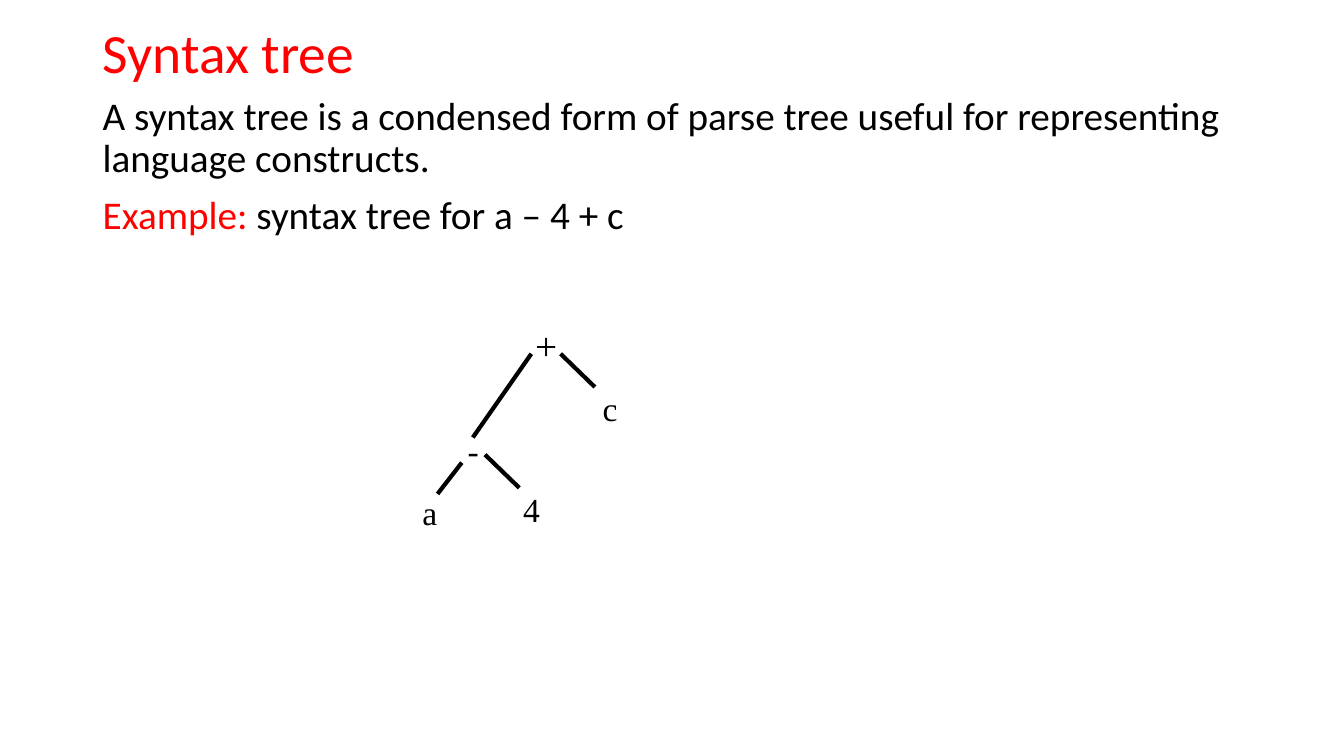
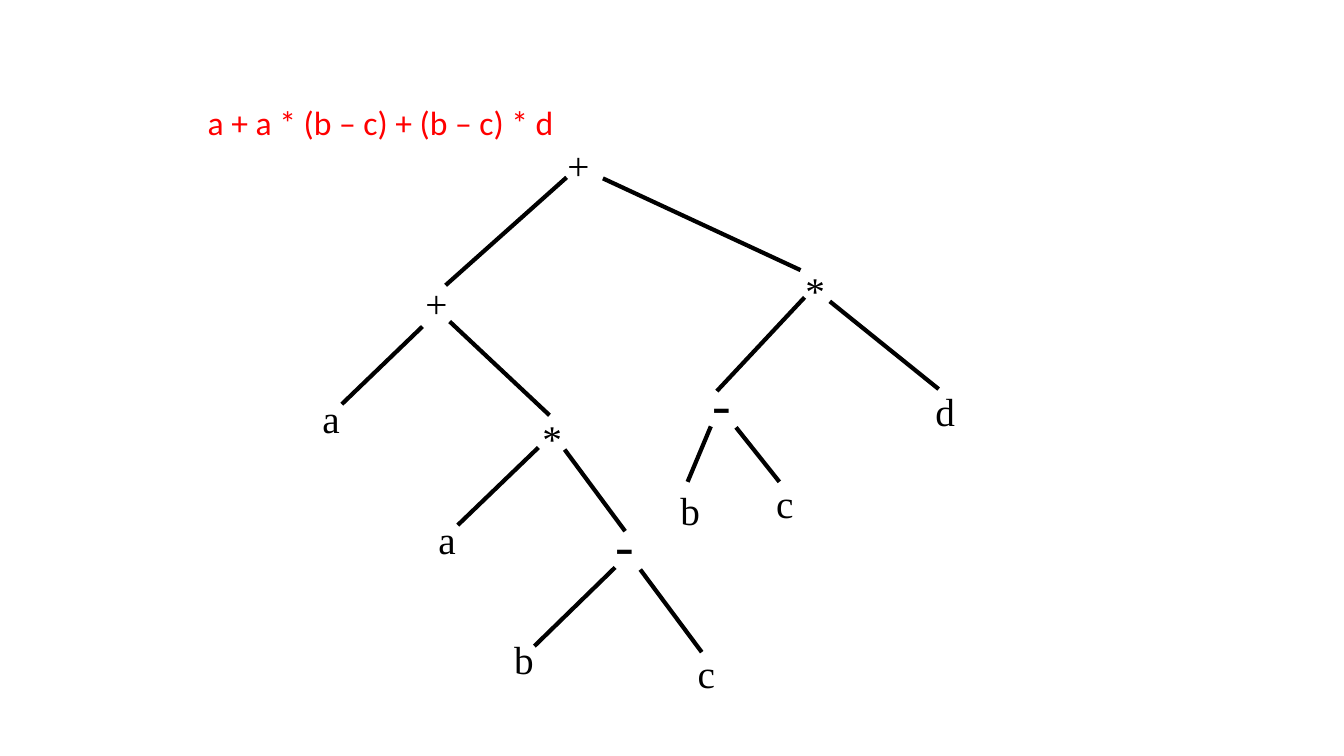
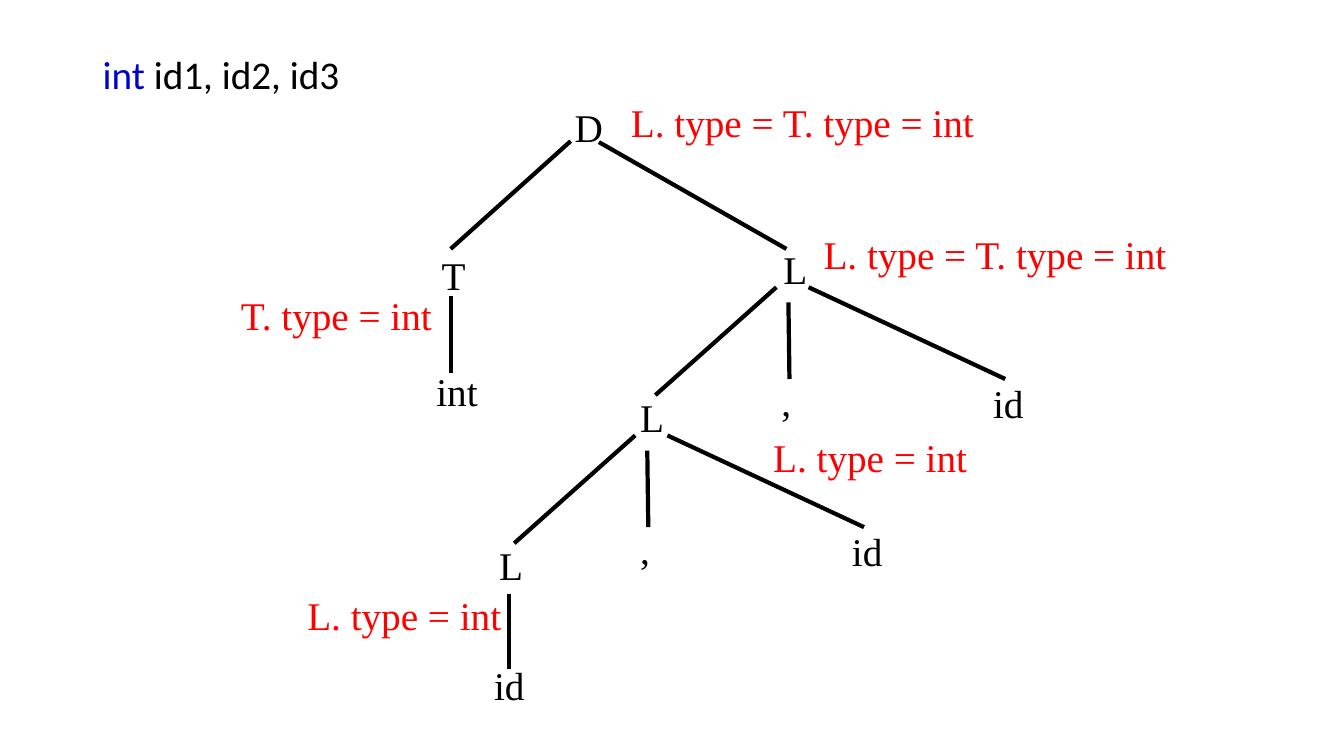
from dataclasses import dataclass
from typing import Iterable, NamedTuple

import pptx
import pptx.dml.color
import pptx.enum.shapes
import pptx.enum.text
import pptx.oxml
import pptx.util
from pptx.util import Inches

BLACK = pptx.dml.color.RGBColor(0x00, 0x00, 0x00)
RED = pptx.dml.color.RGBColor(0xFF, 0x00, 0x00)
BLUE = pptx.dml.color.RGBColor(0x00, 0x00, 0xCC)
TEXT_FONT = "Calibri"
TREE_FONT = "Times New Roman"
MARGIN, CONTENT_WIDTH = 0.92, 11.5
INSET = 0.1


class Run(NamedTuple):
    text: str
    color: pptx.dml.color.RGBColor = BLACK


class Edge(NamedTuple):
    x1: float
    y1: float
    x2: float
    y2: float


@dataclass
class Node:
    text: str
    x: float
    y: float
    width: float = 0.42
    size: float = 28
    color: pptx.dml.color.RGBColor = BLACK
    inset: float = INSET


def add_text(s, x: float, y: float, width: float, height: float,
             paragraphs: list[list[Run]], size: float, font: str = TEXT_FONT,
             line_spacing: float = 1.0, inset: float = INSET):
    sp = s.shapes.add_textbox(Inches(x), Inches(y), Inches(width), Inches(height))
    tf = sp.text_frame
    tf.word_wrap = True
    tf.margin_left = Inches(inset)
    for i, runs in enumerate(paragraphs):
        p = tf.paragraphs[0] if i == 0 else tf.add_paragraph()
        p.line_spacing = line_spacing
        if i:
            p.space_before = pptx.util.Pt(10)
        for run in runs:
            r = p.add_run()
            r.text = run.text
            r.font.name = font
            r.font.size = pptx.util.Pt(size)
            r.font.color.rgb = run.color
    return sp


def add_body(s, y: float, height: float, paragraphs: list[list[Run]]) -> None:
    add_text(s, MARGIN, y, CONTENT_WIDTH, height, paragraphs, 28, line_spacing=0.9)


def line_height(size: float) -> float:
    """Height in inches of a one-line box, including its insets."""
    return 0.1 + size / 60


def add_node(s, node: Node) -> None:
    sp = add_text(s, node.x, node.y, node.width, line_height(node.size),
                  [[Run(node.text, node.color)]], node.size, TREE_FONT, inset=node.inset)
    sp.text_frame.auto_size = pptx.enum.text.MSO_AUTO_SIZE.SHAPE_TO_FIT_TEXT


def add_edge(s, edge: Edge) -> None:
    line = s.shapes.add_connector(pptx.enum.shapes.MSO_CONNECTOR.STRAIGHT,
                                  *(Inches(v) for v in edge))
    line.line.color.rgb = BLACK
    line.line.width = pptx.util.Pt(3)
    line._element.spPr.append(pptx.oxml.parse_xml(
        '<a:effectLst xmlns:a="http://schemas.openxmlformats.org/drawingml/2006/main"/>'))


def add_tree(s, edges: Iterable[Edge], nodes: Iterable[Node]) -> None:
    for edge in edges:
        add_edge(s, edge)
    for node in nodes:
        add_node(s, node)


def symbol(text: str, x: float, y: float) -> Node:
    """Grammar symbol, set in a little from the left of its box."""
    return Node(text, x, y, 0.64, inset=0.2)


def attribute(text: str, x: float, y: float, width: float = 2.18) -> Node:
    return Node(text, x, y, width, color=RED)


def add_list_production(s, x: float, y: float) -> None:
    """Children of the list symbol L whose box starts at x, y."""
    add_tree(
        s,
        [Edge(x + 0.15, y + 0.47, x - 1.05, y + 1.54),
         Edge(x + 0.27, y + 0.62, x + 0.28, y + 1.38),
         Edge(x + 0.47, y + 0.47, x + 2.42, y + 1.38)],
        [symbol("L", x - 1.4, y + 1.47),
         symbol(",", x, y + 1.31),
         symbol("id", x + 2.1, y + 1.33)],
    )


def build_definition(s) -> None:
    sp = add_text(s, MARGIN, 0.19, CONTENT_WIDTH, 0.72,
                  [[Run("Syntax tree", RED)]], 39.6, line_spacing=0.9)
    sp.text_frame.vertical_anchor = pptx.enum.text.MSO_ANCHOR.MIDDLE
    add_body(s, 0.91, 5.84, [
        [Run("A syntax tree is a condensed form of parse tree useful for "
             "representing language constructs.")],
        [Run("Example: ", RED), Run("syntax tree for a – 4 + c")],
    ])
    add_tree(
        s,
        [Edge(5.27, 3.51, 4.69, 4.34), Edge(5.56, 3.51, 5.9, 3.84),
         Edge(4.58, 4.59, 4.34, 4.9), Edge(4.81, 4.51, 5.15, 4.84)],
        [Node("+", 5.21, 3.14),
         Node("-", 4.54, 4.22, 0.31, 24),
         Node("a", 4.09, 4.83, 0.35, 24),
         Node("4", 5.09, 4.8, 0.37, 24),
         Node("c", 5.88, 3.8, 0.3, 24)],
    )


def build_expression(s) -> None:
    add_text(s, 1.9, 0.96, 3.7, line_height(24),
             [[Run("a + a * (b – c) + (b – c) * d", RED)]], 24, inset=0.16)
    add_tree(
        s,
        [Edge(5.62, 1.76, 4.42, 2.83), Edge(5.98, 1.77, 7.94, 2.68),
         Edge(4.19, 3.24, 3.39, 4.01), Edge(4.46, 3.19, 5.45, 4.12),
         Edge(5.34, 4.44, 4.54, 5.21), Edge(5.6, 4.46, 6.2, 5.27),
         Edge(6.1, 5.63, 5.3, 6.41), Edge(6.35, 5.65, 6.96, 6.47),
         Edge(7.98, 2.95, 7.11, 3.88), Edge(8.23, 2.99, 9.31, 3.86),
         Edge(7.05, 4.23, 6.82, 4.78), Edge(7.3, 4.24, 7.73, 4.78)],
        [Node("+", 5.53, 1.35),
         Node("+", 4.12, 2.72),
         Node("a", 3.1, 3.86),
         Node("*", 5.28, 4.06),
         Node("a", 4.25, 5.06),
         Node("-", 6.01, 5.01, size=40),
         Node("b", 5, 6.25),
         Node("c", 6.82, 6.39),
         Node("*", 7.89, 2.59),
         Node("-", 6.97, 3.61, size=40),
         Node("b", 6.65, 4.78),
         Node("c", 7.6, 4.71),
         Node("d", 9.18, 3.79)],
    )


def build_declaration(s) -> None:
    add_body(s, 0.5, 6.26, [[Run("int", BLUE), Run(" id1, id2, id3")]])
    add_tree(
        s,
        [Edge(5.66, 1.4, 4.47, 2.47), Edge(5.94, 1.41, 7.8, 2.47),
         Edge(4.47, 2.94, 4.47, 3.7), Edge(5.05, 5.89, 5.05, 6.64)],
        [Node("D", 5.6, 0.98),
         symbol("T", 4.18, 2.44),
         Node("int", 4.23, 3.59, 0.64),
         symbol("L", 7.57, 2.38),
         symbol("id", 4.7, 6.51)],
    )
    for x, y in ((7.55, 2.38), (6.15, 3.85)):
        add_list_production(s, x, y)
    add_tree(s, [], [
        attribute("L. type = T. type = int", 6.16, 0.93, 4),
        attribute("L. type = T. type = int", 8.07, 2.24, 4),
        attribute("T. type = int", 2.29, 2.84),
        attribute("L. type = int", 7.57, 4.25),
        attribute("L. type = int", 2.95, 5.82),
    ])


def main() -> None:
    prs = pptx.Presentation()
    prs.slide_width, prs.slide_height = Inches(13.33), Inches(7.5)
    for build in (build_definition, build_expression, build_declaration):
        build(prs.slides.add_slide(prs.slide_layouts[6]))
    prs.save("out.pptx")


if __name__ == "__main__":
    main()
